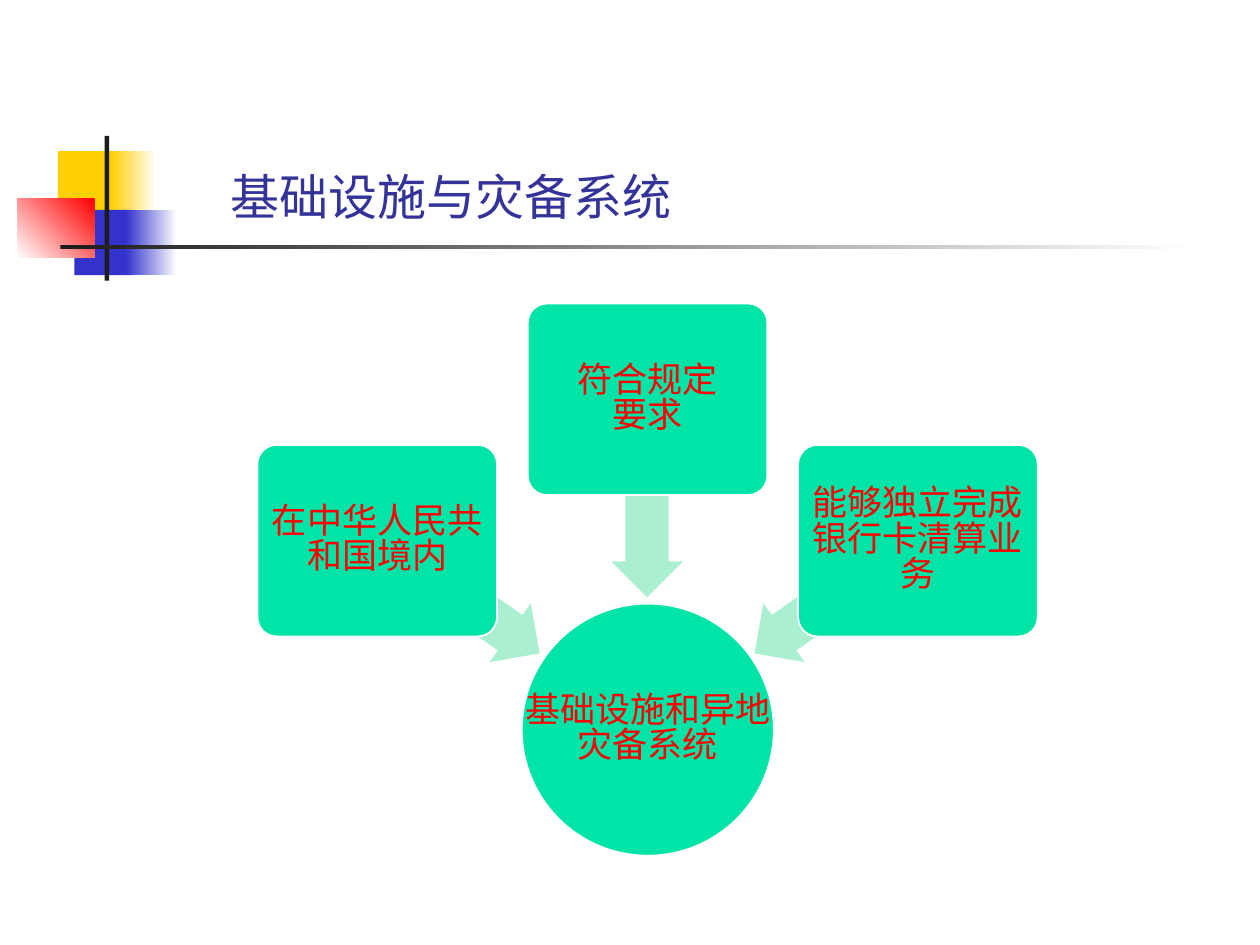
from pptx import Presentation
from pptx import util as u
from pptx.dml.color import RGBColor
from pptx.enum import shapes, text
from pptx.oxml import ns
from lxml import etree

WHITE = RGBColor(0xFF, 0xFF, 0xFF)
YELLOW = RGBColor(0xFF, 0xCF, 0x01)
BLUE = RGBColor(0x33, 0x33, 0xCC)
RED = RGBColor(0xFF, 0x00, 0x00)
BLACK = RGBColor(0x1C, 0x1C, 0x1C)
GREEN = RGBColor(0x00, 0xE4, 0xA8)
PALE_GREEN = RGBColor(0xAB, 0xEF, 0xD1)
TITLE_BLUE = RGBColor(0x33, 0x33, 0x99)
HAN_FONT = "Noto Sans CJK SC"
TITLE_FONT = "Roboto"
PRESET = shapes.MSO_SHAPE


class Deck:
    def __init__(self, slide):
        self.slide = slide

    def shape(self, preset, box, fill, outline=None, adjustments=()):
        item = self.slide.shapes.add_shape(preset, *map(u.Cm, box))
        item.shadow.inherit = False
        for index, value in enumerate(adjustments):
            item.adjustments[index] = value
        item.fill.solid()
        item.fill.fore_color.rgb = fill
        if outline is None:
            item.line.fill.background()
        else:
            item.line.color.rgb = outline
            item.line.width = u.Pt(1)
        return item

    def fade(self, box, start, end, angle=0):
        band = self.shape(PRESET.RECTANGLE, box, start)
        band.fill.gradient()
        band.fill.gradient_angle = angle
        for stop, color in zip(band.fill.gradient_stops, (start, end)):
            stop.color.rgb = color

    def add_lines(self, frame, lines, size, font, color, spacing, align):
        frame.word_wrap = True
        paragraph = frame.paragraphs[0]
        paragraph.alignment = align
        paragraph.line_spacing = spacing
        for index, line in enumerate(lines):
            if index:
                paragraph.add_line_break()
            run = paragraph.add_run()
            run.text = line
            run.font.size = u.Pt(size)
            run.font.name = font
            run.font.color.rgb = color
            east_asian = etree.SubElement(run.font._element, ns.qn("a:ea"))
            east_asian.set("typeface", HAN_FONT)

    def label(self, frame, lines, inset):
        frame.margin_left = frame.margin_right = u.Cm(inset)
        frame.margin_top = frame.margin_bottom = u.Cm(inset)
        frame.vertical_anchor = text.MSO_ANCHOR.MIDDLE
        self.add_lines(frame, lines, 20, HAN_FONT, RED, 0.84,
                       text.PP_ALIGN.CENTER)

    def title(self, box, wording):
        heading = self.slide.shapes.add_textbox(*map(u.Cm, box))
        self.add_lines(heading.text_frame, [wording], 28, TITLE_FONT,
                       TITLE_BLUE, 1.2, text.PP_ALIGN.LEFT)

    def hub(self, box, lines):
        self.shape(PRESET.OVAL, box, GREEN, WHITE)
        caption = self.slide.shapes.add_textbox(*map(u.Cm, box))
        self.label(caption.text_frame, lines, 0.03)

    def requirement(self, box, lines):
        card = self.shape(PRESET.ROUNDED_RECTANGLE, box, GREEN, WHITE, [0.1])
        self.label(card.text_frame, lines, 0.1)

    def arrow(self, box, rotation):
        pointer = self.shape(PRESET.LEFT_ARROW, box, PALE_GREEN,
                             adjustments=[0.6, 0.5])
        pointer.rotation = rotation


def main():
    presentation = Presentation()
    presentation.slide_width = u.Cm(25.4)
    presentation.slide_height = u.Cm(19.05)
    deck = Deck(presentation.slides.add_slide(presentation.slide_layouts[6]))

    deck.shape(PRESET.RECTANGLE, (1.17, 3.05, 1.22, 1.32), YELLOW)
    deck.fade((2.23, 3.05, 0.92, 1.32), YELLOW, WHITE)
    deck.shape(PRESET.RECTANGLE, (1.5, 4.23, 1.17, 1.32), BLUE)
    deck.fade((2.54, 4.23, 1.02, 1.32), BLUE, WHITE)
    deck.fade((0.35, 4.01, 1.55, 1.18), WHITE, RED, 45)
    deck.shape(PRESET.RECTANGLE, (2.11, 2.74, 0.09, 2.92), BLACK)
    deck.fade((1.22, 4.94, 22.86, 0.09), BLACK, WHITE)

    deck.hub((10.52, 12.17, 5.08, 5.08), ["基础设施和异地灾备系统"])
    requirements = [
        (["在中华人民共和国境内"], 8.97, 11.33),
        (["符合规定", "要求"], 6.12, 9.37),
        (["能够独立完成银行卡清算业务"], 8.97, 11.33),
    ]
    for index, (lines, card_top, arrow_top) in enumerate(requirements):
        deck.arrow((7.34 + 3.76 * index, arrow_top, 3.89, 1.45), 215 + 55 * index)
        deck.requirement((5.19 + 5.45 * index, card_top, 4.83, 3.86), lines)

    deck.title((4.4, 3, 20.34, 1.73), "基础设施与灾备系统")
    presentation.save("out.pptx")


if __name__ == "__main__":
    main()
